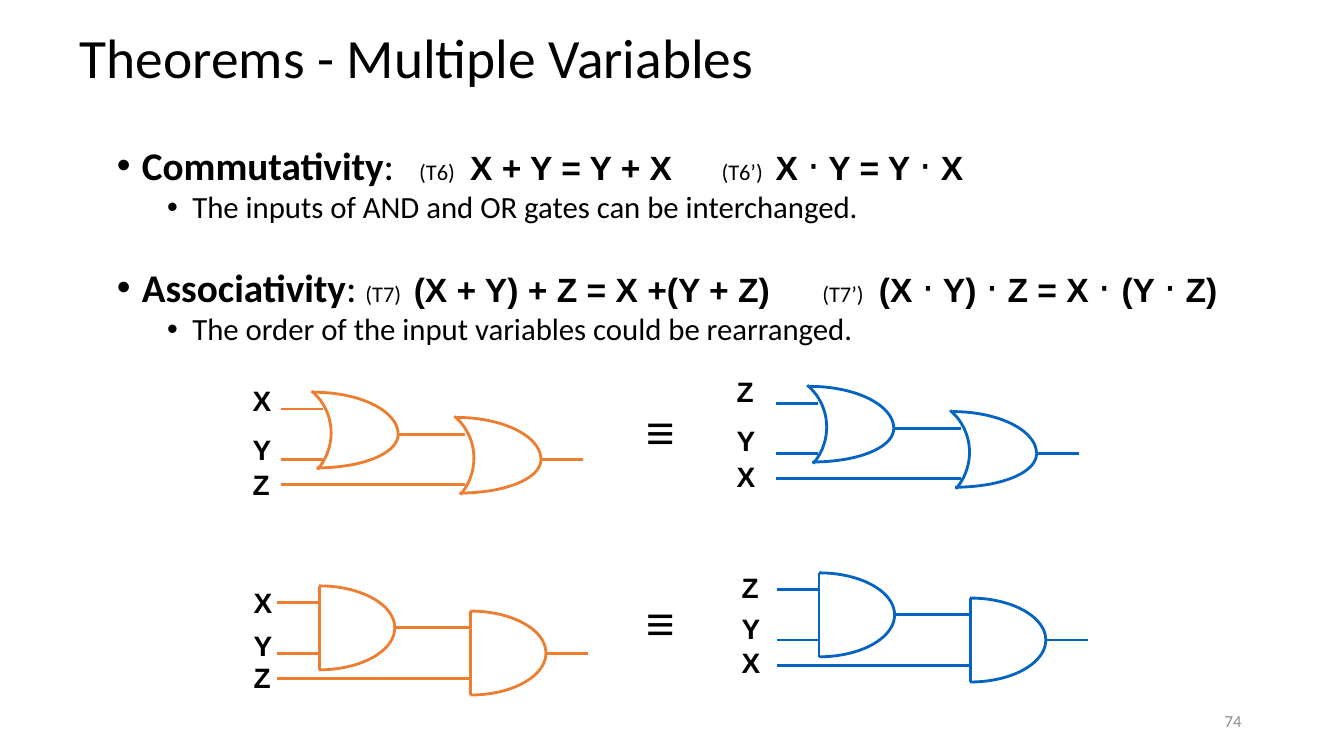
"""Build the slide on commutativity and associativity with its gate circuits."""
import pptx
import pptx.util
import pptx.dml.color
import pptx.enum.shapes
import pptx.enum.text
import pptx.oxml
import pptx.oxml.ns
from lxml import etree

BLACK = pptx.dml.color.RGBColor(0x00, 0x00, 0x00)
GRAY = pptx.dml.color.RGBColor(0x8C, 0x8C, 0x8C)
ORANGE = pptx.dml.color.RGBColor(0xED, 0x7D, 0x31)
BLUE = pptx.dml.color.RGBColor(0x05, 0x63, 0xC1)
COLUMNS, ROWS = 160, 90
CELL = pptx.util.Inches(1) // 12
CURVE_STEPS = 20


def grid(*cells):
    """Turn counts of grid cells into lengths."""
    return [pptx.util.Emu(round(count * CELL)) for count in cells]


def add_label(text, area, font, size, bold, color):
    """Add a one-line text box and return its frame."""
    frame = page.shapes.add_textbox(*grid(*area)).text_frame
    frame.word_wrap = False
    frame.auto_size = pptx.enum.text.MSO_AUTO_SIZE.SHAPE_TO_FIT_TEXT
    para = frame.paragraphs[0]
    para.text = text
    para.font.name, para.font.size, para.font.bold = font, pptx.util.Pt(size), bold
    para.font.color.rgb = color
    return frame


deck = pptx.Presentation()
deck.slide_width, deck.slide_height = grid(COLUMNS, ROWS)
page = deck.slides.add_slide(deck.slide_layouts[1])

title, body = page.shapes.title, page.placeholders[1]
title.left, title.top, title.width, title.height = grid(8.3, 2.9, 138, 8.6)
title.text_frame.text = "Theorems - Multiple Variables"
title.text_frame.vertical_anchor = pptx.enum.text.MSO_ANCHOR.MIDDLE
title.text_frame.auto_size = pptx.enum.text.MSO_AUTO_SIZE.NONE
heading = title.text_frame.paragraphs[0]
heading.alignment = pptx.enum.text.PP_ALIGN.LEFT
heading.line_spacing = 0.9
heading.font.name, heading.font.size = "Calibri", pptx.util.Pt(39.6)
heading.font.color.rgb = BLACK

STYLES = {
    "term": ("Calibri", 28, True),
    "colon": ("Calibri", 28, False),
    "tag": ("Calibri", 16, False),
    "gap": ("Calibri", 24, False),
    "formula": ("Arial", 24, True),
    "dot": ("Arial", 28, False),
    "note": ("Calibri", 22, False),
}
DOT = ("dot", "⋅")
THEOREMS = [
    (0, 0, (3, 6), [
        ("term", "Commutativity"), ("colon", ":\t"), ("tag", "(T6)"), ("gap", "  "),
        ("formula", "X + Y = Y + X \t"), ("tag", "(T6’) "), ("gap", " "),
        ("formula", "X "), DOT, ("formula", " Y = Y "), DOT, ("formula", " X")]),
    (1, 0, (), [("note", "The inputs of AND and OR gates can be interchanged.")]),
    (0, 27, (7,), [
        ("term", "Associativity"), ("colon", ": "), ("tag", "(T7) "), ("gap", " "),
        ("formula", "(X + Y) + Z = X +(Y + Z) \t"), ("tag", "(T7’)"), ("gap", "  "),
        ("formula", "(X "), DOT, ("formula", " Y) "), DOT, ("formula", " Z = X "),
        ("dot", "⋅ "), ("formula", "(Y "), DOT, ("formula", " Z)")]),
    (1, 0, (), [("note", "The order of the input variables could be rearranged.")]),
]
body.left, body.top, body.width, body.height = grid(12.7, 16.2, 138.5, 25)
body.text_frame.auto_size = pptx.enum.text.MSO_AUTO_SIZE.NONE
for index, (level, space, tabs, spans) in enumerate(THEOREMS):
    para = body.text_frame.paragraphs[0] if index == 0 else body.text_frame.add_paragraph()
    para.level = level
    para.space_before = pptx.util.Pt(space)
    properties = para._p.get_or_add_pPr()
    properties.set("marL", str(pptx.util.Inches(0.25 + 0.5 * level)))
    properties.set("indent", str(pptx.util.Inches(-0.25)))
    etree.SubElement(properties, pptx.oxml.ns.qn("a:buFont"), typeface="Arial")
    etree.SubElement(properties, pptx.oxml.ns.qn("a:buChar"), char="•")
    if tabs:
        stops = etree.SubElement(properties, pptx.oxml.ns.qn("a:tabLst"))
        for stop in tabs:
            etree.SubElement(stops, pptx.oxml.ns.qn("a:tab"),
                             pos=str(pptx.util.Inches(stop)), algn="l")
    para.font.color.rgb = BLACK
    for style, text in spans:
        span = para.add_run()
        span.text = text
        font, size, bold = STYLES[style]
        span.font.name, span.font.size, span.font.bold = font, pptx.util.Pt(size), bold

GATES = {
    "or": {
        "second": 17,
        "wires": [((0, 0), (5, 0)), ((0, 6), (5, 6)), ((14, 3), (19, 3))],
        "curves": [((3.7, -2.15), (6.5, 0.2), (6.8, 4.4), (4.4, 7.2)),
                   ((4, -2), (9.5, -2), (14, 0.25), (14, 3)),
                   ((14, 3), (14, 5.3), (9.7, 7), (4.3, 7))],
    },
    "and": {
        "second": 18,
        "wires": [((0, 0), (5, 0)), ((0, 6), (5, 6)), ((14, 3), (19, 3)), ((5, -2), (5, 8))],
        "curves": [((5, -2), (10, -2), (14, 0.25), (14, 3)),
                   ((14, 3), (14, 5.75), (10, 8), (5, 8))],
    },
}
CIRCUITS = [
    ("or", ORANGE, 33.4, 48.7, 28.9, {"X": 45.1, "Y": 50.9, "Z": 55.1}),
    ("or", BLUE, 92.4, 48, 86.5, {"Z": 44, "Y": 49.8, "X": 54.1}),
    ("and", ORANGE, 33, 71.75, 29, {"X": 69.1, "Y": 74.2, "Z": 78.1}),
    ("and", BLUE, 92.5, 70.2, 87.1, {"Z": 67.3, "Y": 72.2, "X": 76.3}),
]
for kind, color, left, top, label_left, labels in CIRCUITS:
    gate = GATES[kind]
    second = gate["second"]
    wires = [((left, top + 9), (left + second, top + 9))]
    outlines = []
    for across, down in ((left, top), (left + second, top + 3)):
        for ends in gate["wires"]:
            wires.append([(x + across, y + down) for x, y in ends])
        for controls in gate["curves"]:
            points = []
            for step in range(CURVE_STEPS + 1):
                t = step / CURVE_STEPS
                weights = ((1 - t) ** 3, 3 * t * (1 - t) ** 2, 3 * t * t * (1 - t), t ** 3)
                x = sum(w * point[0] for w, point in zip(weights, controls))
                y = sum(w * point[1] for w, point in zip(weights, controls))
                points.append(grid(x + across, y + down))
            outlines.append(points)
    strokes = []
    for start, end in wires:
        wire = page.shapes.add_connector(
            pptx.enum.shapes.MSO_CONNECTOR.STRAIGHT, *grid(*start, *end))
        etree.SubElement(wire._element.spPr, pptx.oxml.ns.qn("a:effectLst"))
        strokes.append(wire)
    for points in outlines:
        builder = page.shapes.build_freeform(*points[0])
        builder.add_line_segments(points[1:], close=False)
        curve = builder.convert_to_shape()
        curve.fill.background()
        curve.shadow.inherit = False
        strokes.append(curve)
    for stroke in strokes:
        stroke.line.color.rgb = color
        stroke.line.width = pptx.util.Pt(2)
    for name, label_top in labels.items():
        add_label(name, (label_left, label_top, 4.7, 5.3), "Arial", 20, True, BLACK)

for sign_top in (46.8, 69.6):
    add_label("≡", (74.5, sign_top, 5.8, 8.4), "TeX Gyre Bonum", 36, True, BLACK)

number = add_label("74", (113, 83.4, 36, 4.8), "Calibri", 12, False, GRAY)
number.word_wrap = True
number.auto_size = pptx.enum.text.MSO_AUTO_SIZE.NONE
number.vertical_anchor = pptx.enum.text.MSO_ANCHOR.MIDDLE
number.paragraphs[0].alignment = pptx.enum.text.PP_ALIGN.RIGHT

deck.save("out.pptx")
